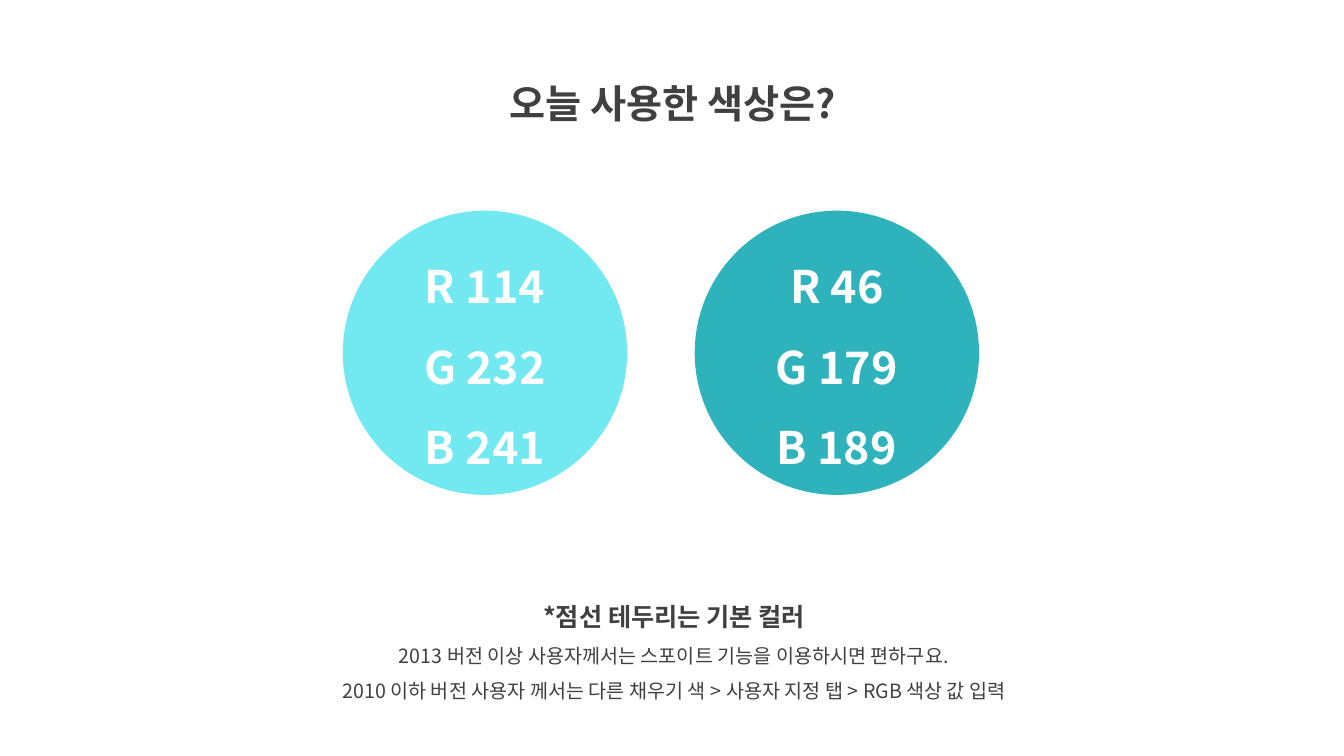
from lxml import etree
from pptx import Presentation
from pptx.dml.color import RGBColor
from pptx.enum.shapes import MSO_SHAPE
from pptx.enum.text import MSO_ANCHOR, MSO_AUTO_SIZE, PP_ALIGN
from pptx.oxml.ns import qn
from pptx.util import Inches, Pt

OVAL = MSO_SHAPE.OVAL
TOP, MIDDLE = MSO_ANCHOR.TOP, MSO_ANCHOR.MIDDLE
CENTER = PP_ALIGN.CENTER
NO_FIT = MSO_AUTO_SIZE.NONE

FACE = "Noto Sans CJK KR"
DARK, WHITE = "404040", "FFFFFF"
SIZE, LEFT, STEP, ROW = 2.82, 3.4, 3.49, 2.09
SWATCHES = [(114, 232, 241), (46, 179, 189)]
NOTES = [
    ("*점선 테두리는 기본 컬러", 18, True),
    ("2013 버전 이상 사용자께서는 스포이트 기능을 이용하시면 편하구요.", 14, False),
    ("2010 이하 버전 사용자 께서는 다른 채우기 색 > 사용자 지정 탭 > RGB 색상 값 입력", 14, False),
]


def color(code):
    return RGBColor.from_string(code)


def style(run, size, bold, code):
    values = {"name": FACE, "size": Pt(size), "bold": bold}
    for key, value in values.items():
        setattr(run.font, key, value)
    run.font.color.rgb = color(code)
    # Hangul takes its face from the East Asian font
    props = run._r.get_or_add_rPr()
    etree.SubElement(props, qn("a:ea")).set("typeface", FACE)


def write(shape, lines, code, anchor=TOP):
    frame = shape.text_frame
    values = {"word_wrap": True, "auto_size": NO_FIT, "vertical_anchor": anchor}
    for key, value in values.items():
        setattr(frame, key, value)
    for i, (text, size, bold) in enumerate(lines):
        para = frame.paragraphs[0] if i == 0 else frame.add_paragraph()
        para.alignment = CENTER
        para.line_spacing = 1.5
        para.space_before = Pt(0)
        run = para.add_run()
        run.text = text
        style(run, size, bold, code)


def add_title(slide, text):
    title = slide.shapes.title
    place = {"left": 4.36, "top": 0.5, "width": 4.63, "height": 0.72}
    for key, value in place.items():
        setattr(title, key, Inches(value))
    write(title, [(text, 28, True)], DARK)


def add_swatch(slide, left, rgb):
    disc = slide.shapes.add_shape(
        OVAL, Inches(left), Inches(ROW), Inches(SIZE), Inches(SIZE))
    disc.shadow.inherit = False
    disc.fill.solid()
    disc.fill.fore_color.rgb = color("%02X%02X%02X" % rgb)
    disc.line.fill.background()
    lines = [(f"{name} {value}", 32, True) for name, value in zip("RGB", rgb)]
    write(disc, lines, WHITE, MIDDLE)


def add_notes(slide):
    box = slide.shapes.add_textbox(
        Inches(2.69), Inches(5.77), Inches(7.99), Inches(1.26))
    write(box, NOTES, DARK)


def main():
    deck = Presentation()
    deck.slide_width, deck.slide_height = Inches(13.33), Inches(7.5)
    slide = deck.slides.add_slide(deck.slide_layouts[5])

    # Heading
    add_title(slide, "오늘 사용한 색상은?")
    # Usage notes
    add_notes(slide)
    # Colour swatches
    for i, rgb in enumerate(SWATCHES):
        add_swatch(slide, LEFT + i * STEP, rgb)

    deck.save("out.pptx")


if __name__ == "__main__":
    main()
